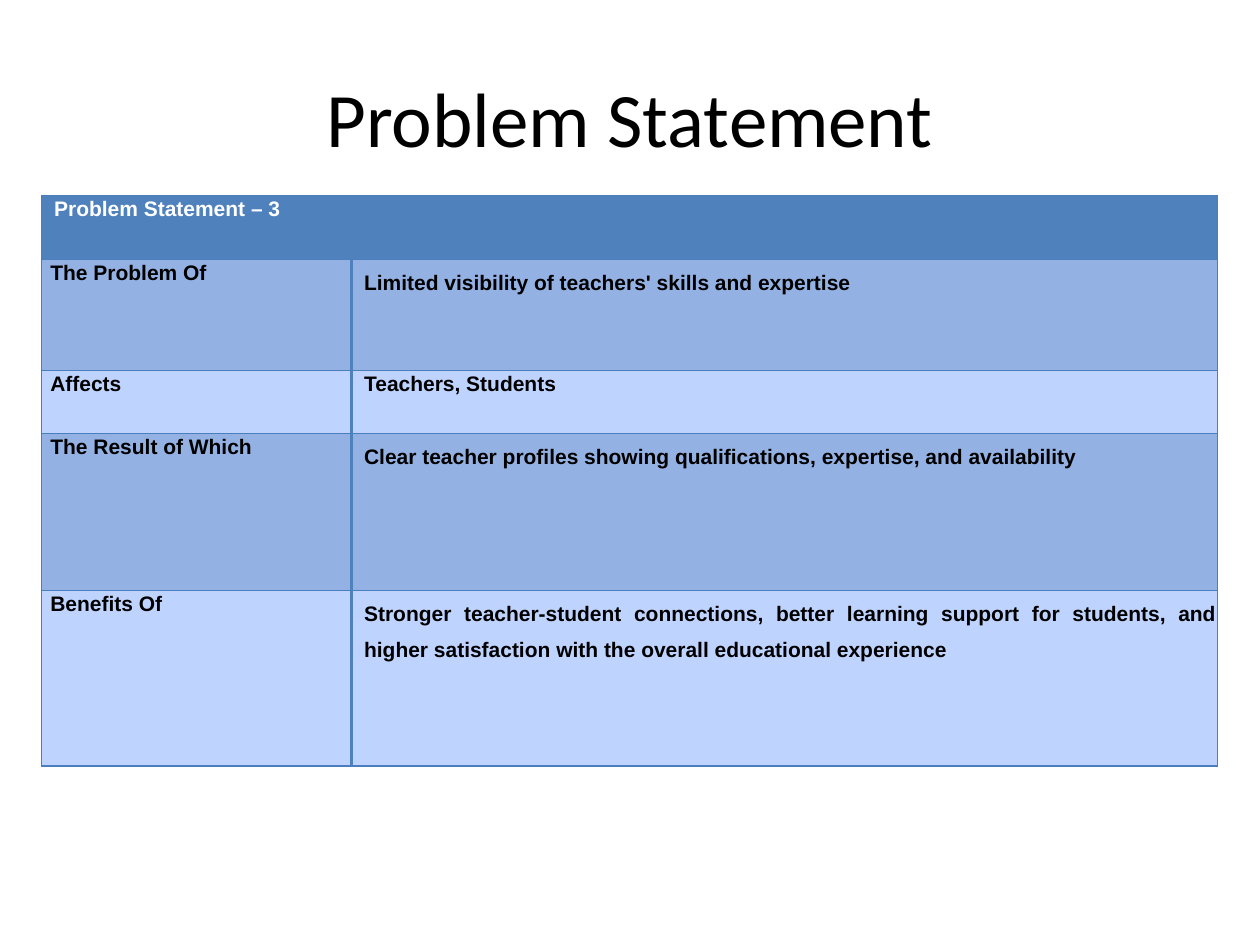
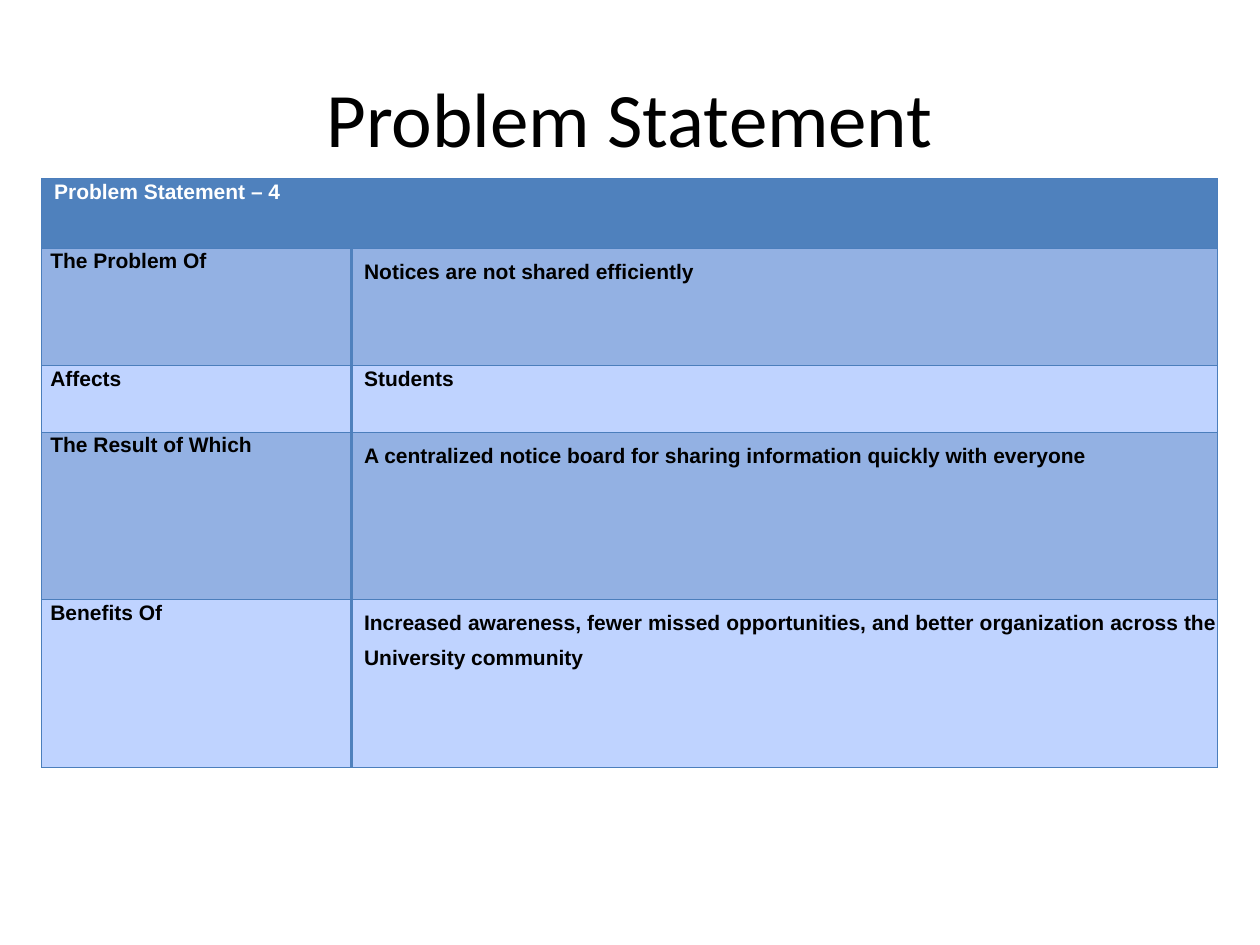
"""Build two problem statement slides, each with a title and a banded table."""
from lxml import etree
from pptx import Presentation
from pptx.dml.color import RGBColor
from pptx.enum.text import MSO_ANCHOR, PP_ALIGN
from pptx.oxml.ns import qn
from pptx.util import Inches, Pt

CENTER, LEFT, JUSTIFY = PP_ALIGN.CENTER, PP_ALIGN.LEFT, PP_ALIGN.JUSTIFY
MIDDLE, TOP = MSO_ANCHOR.MIDDLE, MSO_ANCHOR.TOP

TITLE = "Problem Statement"
ASPECTS = ["The Problem Of", "Affects", "The Result of Which", "Benefits Of"]
STATEMENTS = [
    {
        "heading": "Problem Statement – 3",
        "answers": [
            "Limited visibility of teachers' skills and expertise",
            "Teachers, Students",
            "Clear teacher profiles showing qualifications, expertise, and availability",
            "Stronger teacher-student connections, better learning support for students, "
            "and higher satisfaction with the overall educational experience",
        ],
        "top": 1.55,
        "row_heights": [0.51, 0.88, 0.5, 1.25, 1.39],
    },
    {
        "heading": "Problem Statement – 4",
        "answers": [
            "Notices are not shared efficiently",
            "Students",
            "A centralized notice board for sharing information quickly with everyone",
            "Increased awareness, fewer missed opportunities, and better organization "
            "across the University community",
        ],
        "top": 1.42,
        "row_heights": [0.55, 0.93, 0.53, 1.33, 1.33],
    },
]

COLORS = {
    "text": "000000",
    "heading_text": "FFFFFF",
    "heading": "4F81BD",
    "band_dark": "93B1E3",
    "band_light": "BFD3FF",
    "divider": "4F81BD",
    "border": "4B7EBC",
}
TITLE_FONT, TABLE_FONT = "Calibri", "Arial"
TABLE_LEFT = 0.33
COLUMN_WIDTHS = [2.46, 6.87]
LABEL_INDENT, TEXT_INDENT = 0.07, 0.1
SINGLE, WIDE = 1.07, 1.5
THIN, THICK = ("border", 0.75), ("divider", 2)


def add_run(paragraph, text, font, size, color, bold=False):
    run = paragraph.add_run()
    run.text = text
    run.font.name = font
    run.font.size = Pt(size)
    run.font.bold = bold
    run.font.color.rgb = RGBColor.from_string(COLORS[color])


def add_title(slide):
    title = slide.shapes.add_textbox(Inches(0.5), Inches(0.3), Inches(9), Inches(1.25))
    frame = title.text_frame
    frame.word_wrap = True
    frame.vertical_anchor = MIDDLE
    frame.paragraphs[0].alignment = CENTER
    add_run(frame.paragraphs[0], TITLE, TITLE_FONT, 44, "text")


def set_borders(cell, left=THIN, right=THIN):
    properties = cell._tc.get_or_add_tcPr()
    sides = [("a:lnL", left), ("a:lnR", right), ("a:lnT", THIN), ("a:lnB", THIN)]
    for position, (tag, (color, width)) in enumerate(sides):
        line = etree.Element(qn(tag), w=str(Pt(width)))
        fill = etree.SubElement(line, qn("a:solidFill"))
        etree.SubElement(fill, qn("a:srgbClr"), val=COLORS[color])
        properties.insert(position, line)


def style_cell(cell, fill, indent):
    cell.fill.solid()
    cell.fill.fore_color.rgb = RGBColor.from_string(COLORS[fill])
    cell.margin_left = Inches(indent)
    cell.margin_right = cell.margin_top = cell.margin_bottom = 0
    cell.vertical_anchor = TOP


def write_cell(cell, text, color="text", spacing=SINGLE, alignment=LEFT):
    paragraph = cell.text_frame.paragraphs[0]
    paragraph.alignment = alignment
    paragraph.line_spacing = spacing
    paragraph.space_before = Pt(3.5)
    add_run(paragraph, text, TABLE_FONT, 12, color, bold=True)


def add_statement(slide, statement):
    heights = statement["row_heights"]
    table = slide.shapes.add_table(
        len(heights), len(COLUMN_WIDTHS), Inches(TABLE_LEFT), Inches(statement["top"]),
        Inches(sum(COLUMN_WIDTHS)), Inches(sum(heights))).table
    for column, width in zip(table.columns, COLUMN_WIDTHS):
        column.width = Inches(width)
    for row, height in zip(table.rows, heights):
        row.height = Inches(height)

    heading = table.cell(0, 0)
    heading.merge(table.cell(0, 1))
    for cell in table.rows[0].cells:
        style_cell(cell, "heading", TEXT_INDENT)
        set_borders(cell)
    write_cell(heading, statement["heading"], "heading_text")

    for number, (aspect, answer) in enumerate(zip(ASPECTS, statement["answers"]), 1):
        band = "band_dark" if number % 2 else "band_light"
        label, detail = table.rows[number].cells
        style_cell(label, band, LABEL_INDENT)
        set_borders(label, right=THICK)
        write_cell(label, aspect)
        style_cell(detail, band, TEXT_INDENT)
        set_borders(detail, left=THICK)
        write_cell(detail, answer,
                   spacing=SINGLE if aspect == "Affects" else WIDE,
                   alignment=JUSTIFY if number > 2 else LEFT)


def main():
    deck = Presentation()
    deck.slide_width, deck.slide_height = Inches(10), Inches(7.5)
    for statement in STATEMENTS:
        slide = deck.slides.add_slide(deck.slide_layouts[6])
        add_title(slide)
        add_statement(slide, statement)
    deck.save("out.pptx")


if __name__ == "__main__":
    main()
